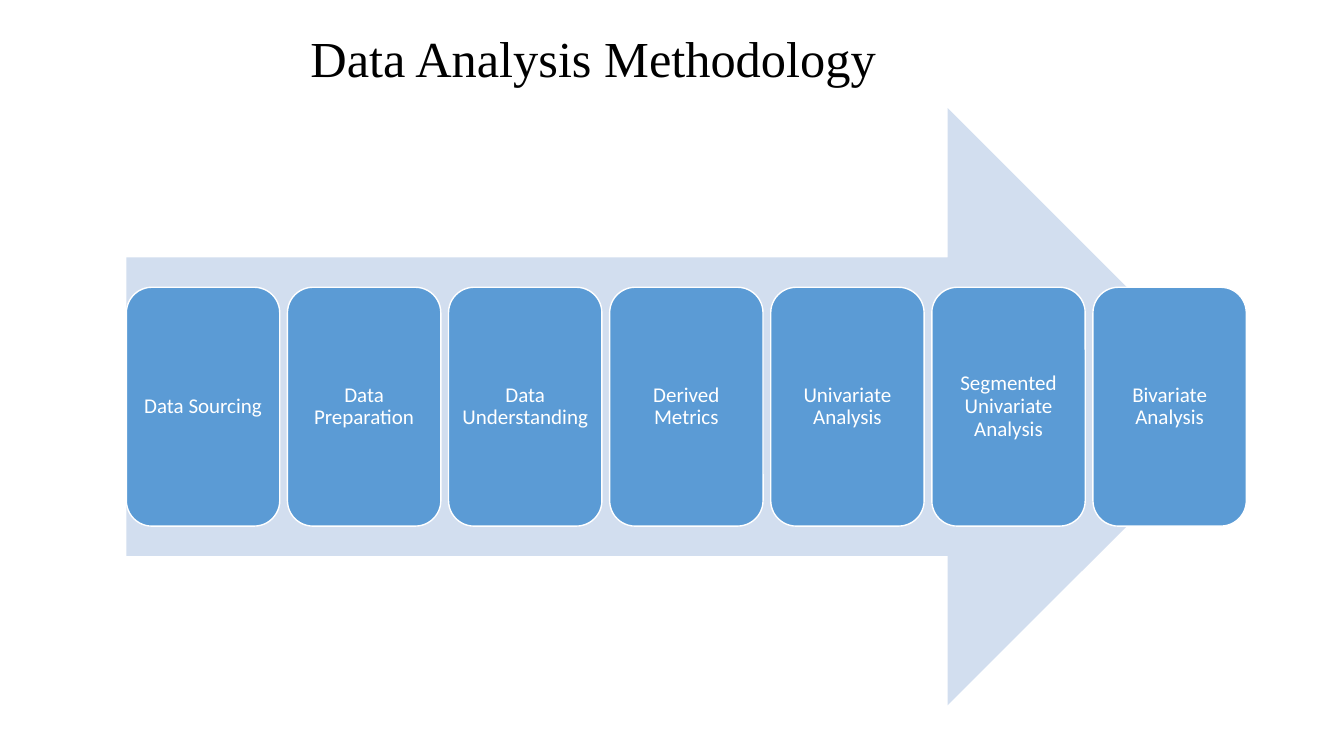
from dataclasses import dataclass

from pptx import Presentation
from pptx.dml.color import RGBColor
from pptx.enum.shapes import MSO_SHAPE
from pptx.enum.text import MSO_ANCHOR, PP_ALIGN
from pptx.util import Inches, Pt

ARROW, CARD = MSO_SHAPE.RIGHT_ARROW, MSO_SHAPE.ROUNDED_RECTANGLE
MIDDLE = MSO_ANCHOR.MIDDLE
LEFT, CENTER = PP_ALIGN.LEFT, PP_ALIGN.CENTER

SLIDE_W, SLIDE_H = 13.33, 7.5
COLORS = {"text": "000000", "arrow": "D2DEEF", "card": "5B9BD5", "white": "FFFFFF"}
STEPS = [
    "Data Sourcing",
    "Data Preparation",
    "Data Understanding",
    "Derived Metrics",
    "Univariate Analysis",
    "Segmented Univariate Analysis",
    "Bivariate Analysis",
]
GAP_SHARE = 0.05  # gap between cards, as a share of card width
CARD_SHARE = 0.4  # card height, as a share of arrow height


@dataclass(frozen=True)
class Box:
    left: float
    top: float
    width: float
    height: float

    def emu(self) -> list:
        return [Inches(v) for v in (self.left, self.top, self.width, self.height)]


TITLE = Box(2.86, 0.14, 6.24, 0.94)
FLOW = Box(SLIDE_W * 0.094, SLIDE_H * 0.143, SLIDE_W * 5 / 6, SLIDE_H * 0.79)


def card_box(i: int) -> Box:
    """Place card i in a row that spans the arrow, centred vertically."""
    n = len(STEPS)
    width = FLOW.width / (n + (n - 1) * GAP_SHARE)
    height = FLOW.height * CARD_SHARE
    left = FLOW.left + i * width * (1 + GAP_SHARE)
    return Box(left, FLOW.top + (FLOW.height - height) / 2, width, height)


def add_block(s, kind, box: Box, color: str, outlined: bool = False):
    sp = s.shapes.add_shape(kind, *box.emu())
    sp.shadow.inherit = False
    sp.fill.solid()
    sp.fill.fore_color.rgb = RGBColor.from_string(COLORS[color])
    if outlined:
        sp.line.color.rgb = RGBColor.from_string(COLORS["white"])
        sp.line.width = Pt(1)
    else:
        sp.line.fill.background()
    return sp


def write(sp, text: str, *, size: float, font: str, color: str, align,
          inset: float, left_inset: float) -> None:
    tf = sp.text_frame
    tf.word_wrap = True
    tf.vertical_anchor = MIDDLE
    tf.margin_left = Inches(left_inset)
    tf.margin_right = tf.margin_top = tf.margin_bottom = Inches(inset)
    p = tf.paragraphs[0]
    p.alignment = align
    p.line_spacing = 0.9
    r = p.add_run()
    r.text = text
    r.font.size = Pt(size)
    r.font.name = font
    r.font.color.rgb = RGBColor.from_string(COLORS[color])


def main() -> None:
    prs = Presentation()
    prs.slide_width, prs.slide_height = Inches(SLIDE_W), Inches(SLIDE_H)
    s = prs.slides.add_slide(prs.slide_layouts[6])

    # Title
    write(s.shapes.add_textbox(*TITLE.emu()), "Data Analysis Methodology", size=36,
          font="Times New Roman", color="text", align=LEFT, inset=0.05, left_inset=0.22)

    # Arrow behind the steps
    add_block(s, ARROW, FLOW, "arrow")

    # Step cards
    for i, step in enumerate(STEPS):
        sp = add_block(s, CARD, card_box(i), "card", outlined=True)
        write(sp, step, size=15, font="Calibri", color="white", align=CENTER,
              inset=0.05, left_inset=0.05)

    prs.save("out.pptx")


if __name__ == "__main__":
    main()
